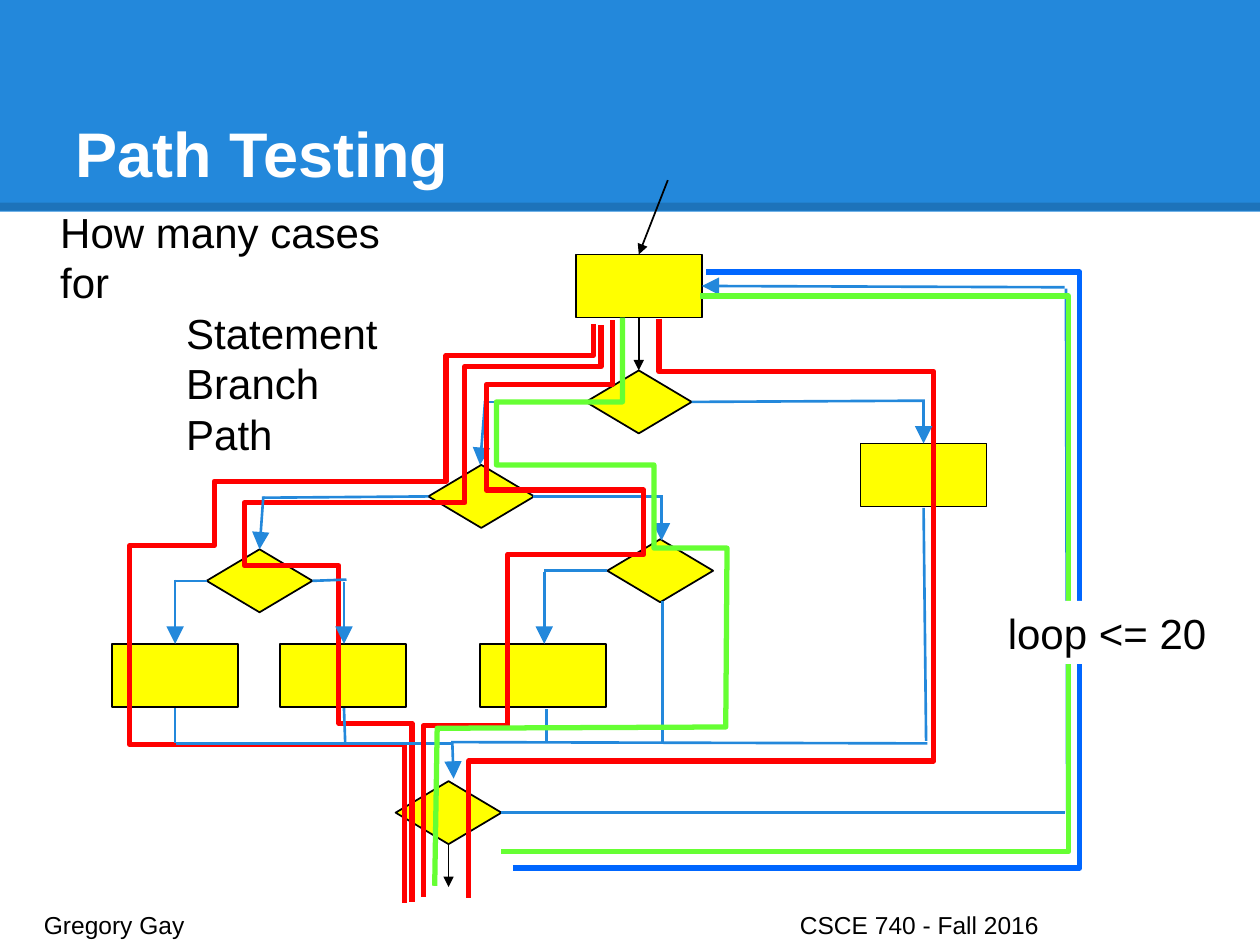
from dataclasses import dataclass

from lxml import etree
from pptx import Presentation
from pptx import util as u
from pptx.dml.color import RGBColor
from pptx.enum import shapes, text
from pptx.oxml.ns import qn

BLUE, BLACK, WHITE = "2388DB", "000000", "FFFFFF"
YELLOW, RED, GREEN, LOOP_BLUE = "FFFF00", "FF0000", "66FF33", "0066FF"
PROCESS = shapes.MSO_SHAPE.FLOWCHART_PROCESS
DECISION = shapes.MSO_SHAPE.FLOWCHART_DECISION
NODE_WIDTH = {PROCESS: 1, DECISION: 0.84}
NODE_HEIGHT = 0.5


@dataclass
class Edge:
    x1: float
    y1: float
    x2: float
    y2: float
    arrow: bool = False
    color: str = BLUE
    width: float = 1.5
    head: str = "lg"
    alpha: int = 100


@dataclass
class Node:
    kind: int
    left: float
    top: float


@dataclass
class Route:
    color: str
    points: list


@dataclass
class Label:
    at: tuple
    lines: list
    size: float
    color: str = BLACK
    bold: bool = False
    frame: dict | None = None
    fill: str | None = None
    indent: float = 0
    tab: float = 0


def rgb(value: str) -> RGBColor:
    return RGBColor.from_string(value)


def assign(target, values: dict) -> None:
    for name, value in values.items():
        setattr(target, name, value)


def draw_edge(page, edge: Edge) -> None:
    ends = [u.Inches(v) for v in (edge.x1, edge.y1, edge.x2, edge.y2)]
    line = page.shapes.add_connector(shapes.MSO_CONNECTOR.STRAIGHT, *ends)
    line.line.width = u.Pt(edge.width)
    line.line.color.rgb = rgb(edge.color)
    outline = line.line._get_or_add_ln()
    if edge.alpha < 100:
        tint = outline.find(".//" + qn("a:srgbClr"))
        etree.SubElement(tint, qn("a:alpha"), val=str(edge.alpha * 1000))
    if edge.arrow:
        etree.SubElement(outline, qn("a:tailEnd"), type="triangle",
                         w=edge.head, len=edge.head)
    etree.SubElement(line._element.spPr, qn("a:effectLst"))


def draw_block(page, kind: int, at: tuple, fill: str, border: str | None):
    block = page.shapes.add_shape(kind, *map(u.Inches, at))
    block.shadow.inherit = False
    block.fill.solid()
    block.fill.fore_color.rgb = rgb(fill)
    if border:
        block.line.color.rgb = rgb(border)
        block.line.width = u.Pt(1)
    else:
        block.line.fill.background()
    return block


def draw_route(page, route: Route) -> None:
    start, *turns = [(u.Inches(x), u.Inches(y)) for x, y in route.points]
    builder = page.shapes.build_freeform(*start)
    builder.add_line_segments(turns, close=False)
    outline = builder.convert_to_shape()
    outline.shadow.inherit = False
    outline.fill.background()
    outline.line.color.rgb = rgb(route.color)
    outline.line.width = u.Pt(3)


def draw_label(page, label: Label) -> None:
    if label.fill:
        box = draw_block(page, shapes.MSO_SHAPE.RECTANGLE, label.at, label.fill, None)
    else:
        box = page.shapes.add_textbox(*map(u.Inches, label.at))
    frame = box.text_frame
    assign(frame, {"word_wrap": True, "vertical_anchor": text.MSO_ANCHOR.TOP})
    assign(frame, label.frame or {})
    for index, line in enumerate(label.lines):
        para = frame.paragraphs[0] if index == 0 else frame.add_paragraph()
        assign(para, {"alignment": text.PP_ALIGN.LEFT, "line_spacing": 1.0})
        properties = para._p.get_or_add_pPr()
        if index and label.indent:
            properties.set("marL", str(u.Inches(label.indent)))
        if label.tab:
            stops = etree.SubElement(properties, qn("a:tabLst"))
            etree.SubElement(stops, qn("a:tab"), pos=str(u.Inches(label.tab)), algn="l")
        span = para.add_run()
        span.text = line
        assign(span.font, {"name": "Arial", "size": u.Pt(label.size), "bold": label.bold})
        span.font.color.rgb = rgb(label.color)


NODES = [
    Node(PROCESS, 4.57, 2.02), Node(PROCESS, 6.83, 3.52),
    *[Node(PROCESS, left, 5.11) for left in (0.89, 2.22, 3.81)],
    Node(DECISION, 4.65, 2.94), Node(DECISION, 3.4, 3.69),
    Node(DECISION, 4.82, 4.28), Node(DECISION, 1.64, 4.36),
    Node(DECISION, 3.14, 6.2),
]
FIRST_BRANCH = [Edge(4.65, 3.19, 3.84, 3.19), Edge(3.85, 3.18, 3.81, 3.69, True)]
STEPS = [Edge(*ends, True, BLACK, 1, "med") for ends in (
    (5.07, 2.52, 5.07, 2.94), (3.56, 6.7, 3.56, 7.04), (5.3, 1.43, 5.07, 2.02))]
BRANCHES = [
    Edge(5.49, 3.19, 7.34, 3.18), Edge(7.33, 3.18, 7.33, 3.52, True),
    Edge(3.98, 6.45, 8.45, 6.45), Edge(8.47, 6.45, 8.46, 2.29),
    Edge(8.45, 2.28, 5.57, 2.27, True), Edge(7.33, 4.03, 7.35, 5.88),
    Edge(7.36, 5.9, 3.58, 5.89), Edge(3.59, 5.89, 3.6, 6.18, True),
]
LOWER_BRANCHES = [
    Edge(4.23, 3.94, 5.25, 3.94), Edge(5.25, 3.93, 5.25, 4.29, True),
    Edge(3.4, 3.94, 2.09, 3.95), Edge(2.09, 3.94, 2.06, 4.36, True),
    Edge(5.26, 4.77, 5.26, 5.9), Edge(4.32, 4.54, 4.32, 5.11, True),
    Edge(4.32, 4.53, 4.82, 4.53), Edge(4.34, 5.63, 4.34, 5.9),
    Edge(3.58, 5.9, 1.4, 5.9), Edge(1.39, 5.62, 1.39, 5.9),
    Edge(2.73, 5.62, 2.74, 5.9), Edge(2.73, 4.62, 2.73, 5.11, True),
    Edge(1.39, 4.6, 1.39, 5.11, True), Edge(2.48, 4.61, 2.75, 4.6),
    Edge(1.64, 4.61, 1.4, 4.61),
]
OUTER_ROUTES = [
    Route(RED, [(5.23, 2.53), (5.23, 2.95), (7.41, 2.95), (7.41, 6.04),
                (3.72, 6.04), (3.72, 7.13)]),
    Route(RED, [(4.71, 2.57), (4.71, 2.82), (3.54, 2.82), (3.54, 3.82), (1.7, 3.82),
                (1.7, 4.33), (1.03, 4.33), (1.03, 5.91), (3.21, 5.91), (3.21, 7.17)]),
    Route(RED, [(4.77, 2.58), (4.77, 2.91), (3.69, 2.91), (3.69, 3.99), (1.94, 3.99),
                (1.94, 4.49), (2.69, 4.49), (2.69, 5.74), (3.27, 5.74), (3.27, 7.16)]),
]
LOOP_ROUTES = [
    Route(GREEN, [(3.98, 6.76), (8.48, 6.76), (8.48, 2.35), (5.56, 2.35)]),
    Route(LOOP_BLUE, [(4.07, 6.89), (8.57, 6.89), (8.57, 2.16), (5.6, 2.16)]),
]
INNER_ROUTES = [
    Route(RED, [(4.86, 2.54), (4.86, 3.05), (3.86, 3.05), (3.86, 3.89), (5.11, 3.89),
                (5.11, 4.4), (4.03, 4.4), (4.03, 5.76), (3.36, 5.76), (3.36, 7.12)]),
    Route(GREEN, [(4.94, 2.52), (4.94, 3.19), (3.94, 3.19), (3.94, 3.69), (5.19, 3.69),
                  (5.19, 4.35), (5.77, 4.35), (5.76, 5.77), (3.47, 5.78), (3.45, 7.03)]),
]
QUESTION = Label((0.38, 1.59, 2.93, 1.7), ["How many cases for", "Statement", "Branch", "Path"],
                 24, indent=1)
TITLE = Label((0.5, 0.58, 9, 1.25), ["Path Testing"], 36, WHITE, True,
              frame={"vertical_anchor": text.MSO_ANCHOR.MIDDLE, "margin_right": u.Inches(0.05)})
LOOP = Label((7.9, 4.77, 1.91, 0.5), ["loop <= 20"], 24, fill=WHITE)
FOOTER = Label((0.25, 7.12, 9.51, 0.3), ["Gregory Gay\tCSCE 740 - Fall 2016"], 14, tab=6,
               frame={"margin_top": u.Inches(0.1), "margin_bottom": u.Inches(0.1)})

deck = Presentation()
assign(deck, {"slide_width": u.Inches(10), "slide_height": u.Inches(7.5)})
page = deck.slides.add_slide(deck.slide_layouts[6])
draw_block(page, shapes.MSO_SHAPE.RECTANGLE, (0, 0, 10, 1.68), BLUE, None)
draw_edge(page, Edge(0, 1.64, 10, 1.64, color=BLACK, width=4.5, alpha=15))
for edge in FIRST_BRANCH:
    draw_edge(page, edge)
for node in NODES:
    place = (node.left, node.top, NODE_WIDTH[node.kind], NODE_HEIGHT)
    draw_block(page, node.kind, place, YELLOW, BLACK)
for label in (QUESTION, TITLE):
    draw_label(page, label)
for edges, routes in ((STEPS, OUTER_ROUTES), (BRANCHES, LOOP_ROUTES),
                      (LOWER_BRANCHES, INNER_ROUTES)):
    for edge in edges:
        draw_edge(page, edge)
    for route in routes:
        draw_route(page, route)
for label in (LOOP, FOOTER):
    draw_label(page, label)
deck.save("out.pptx")
